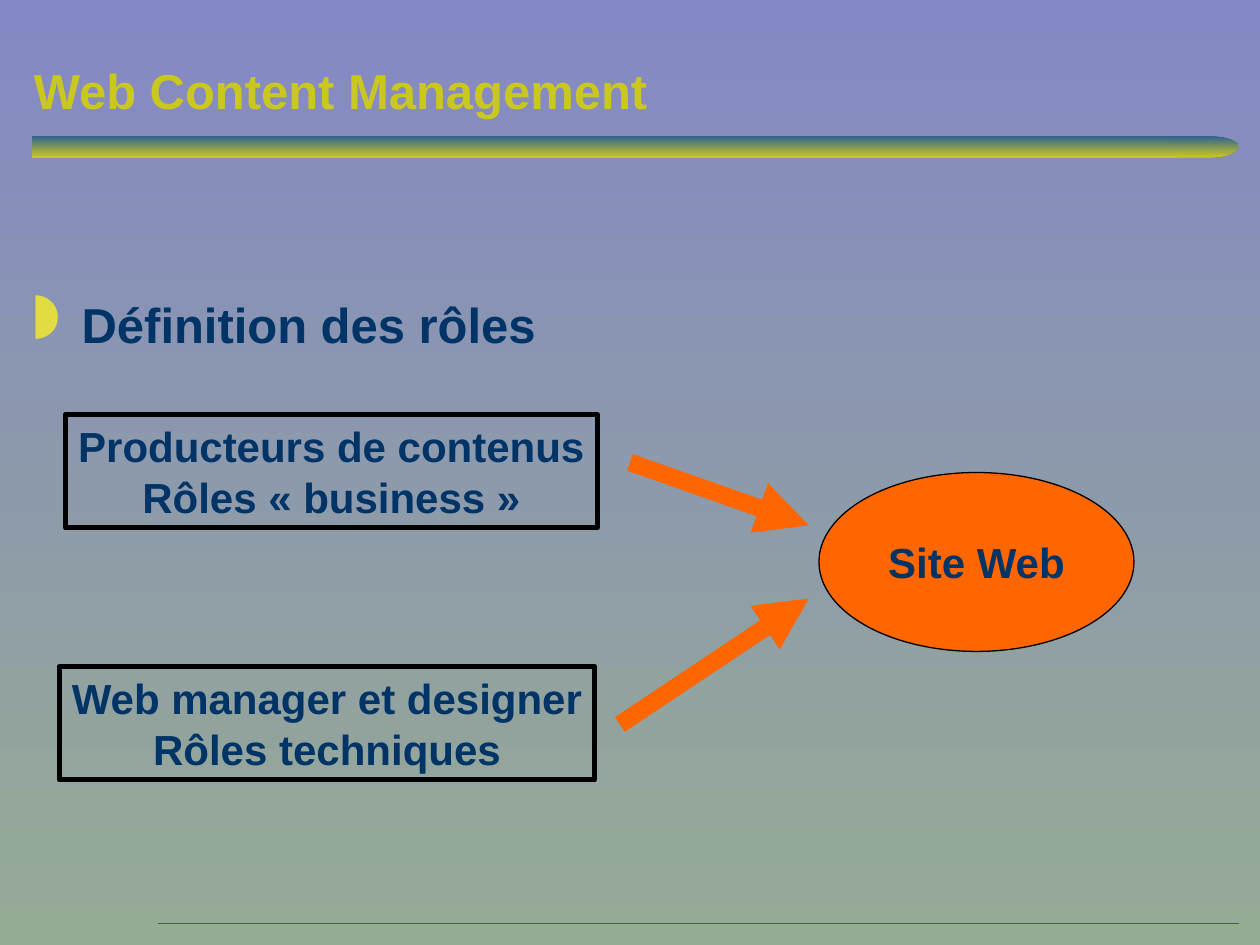
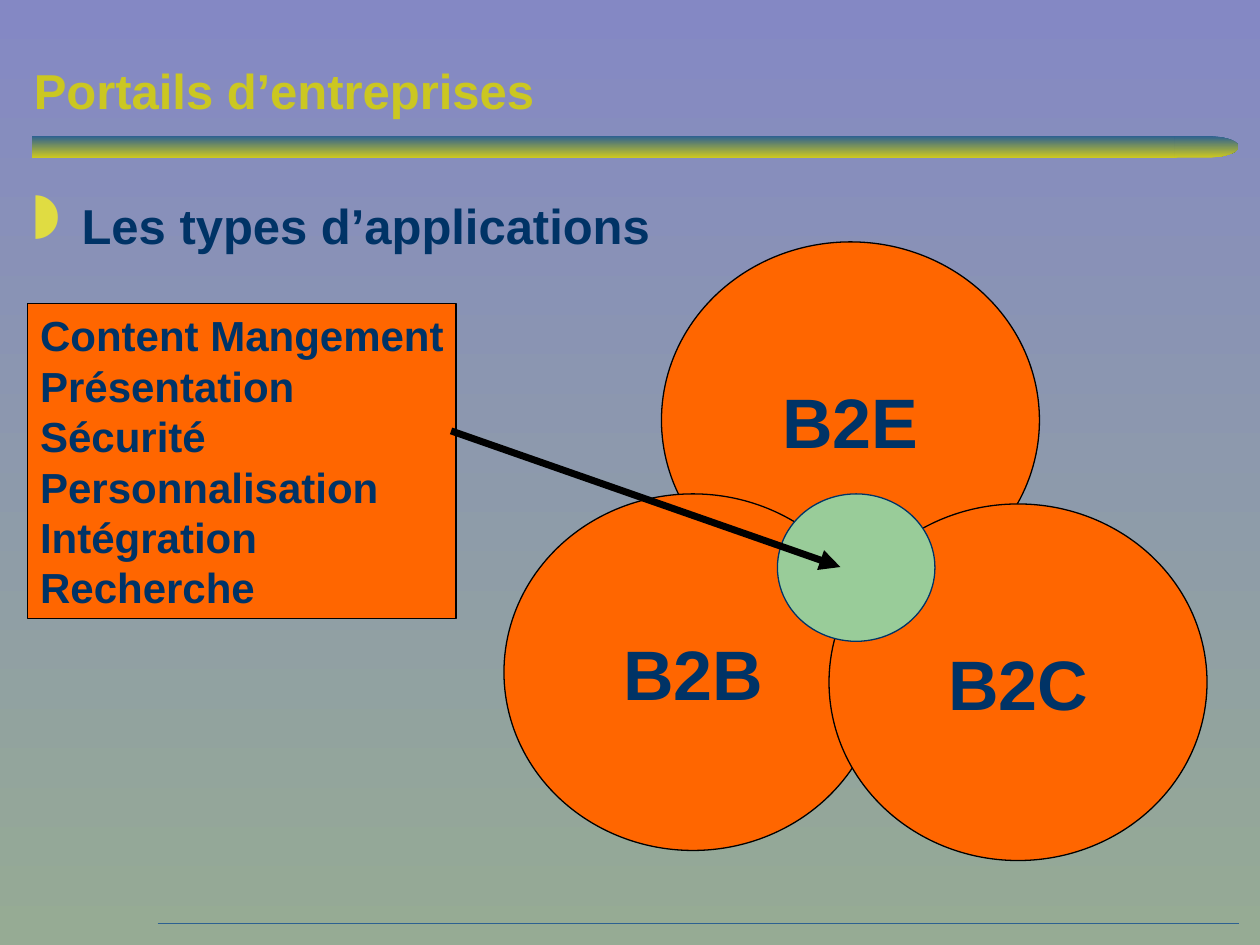
from lxml import etree
from pptx import Presentation
from pptx.dml.color import RGBColor
from pptx.enum.shapes import MSO_CONNECTOR, MSO_SHAPE
from pptx.enum.text import MSO_ANCHOR, PP_ALIGN
from pptx.oxml.ns import qn
from pptx.util import Inches, Pt

SKY = RGBColor(0x84, 0x88, 0xC4)
SAGE = RGBColor(0x96, 0xAB, 0x94)
BLUE = RGBColor(0x2D, 0x61, 0x91)
GOLD = RGBColor(0xCB, 0xC7, 0x21)
NAVY = RGBColor(0x00, 0x33, 0x66)
ORANGE = RGBColor(0xFF, 0x66, 0x00)
GREEN = RGBColor(0x99, 0xCC, 0x99)
BLACK = RGBColor(0x00, 0x00, 0x00)
DOT = "E0DC42"
FONT = "Arial"
THIN = 0.74


def shade(fill, top, base):
    """Fill with a gradient that runs from top to base."""
    fill.gradient()
    fill.gradient_angle = 270
    for stop, color in zip(fill.gradient_stops, (top, base)):
        stop.color.rgb = color


def write(frame, lines, size, color=NAVY, align=PP_ALIGN.LEFT):
    """Write one bold paragraph for each line."""
    frame.text = "\n".join(lines)
    for para in frame.paragraphs:
        para.alignment = align
        for run in para.runs:
            font = run.font
            font.name, font.size, font.bold = FONT, Pt(size), True
            font.color.rgb = color


def add_text(slide, box, text, size, color, anchor):
    """Add a wrapped line of text in the box and return its frame."""
    frame = slide.shapes.add_textbox(*map(Inches, box)).text_frame
    frame.word_wrap = True
    frame.vertical_anchor = anchor
    write(frame, [text], size, color)
    return frame


def add_form(slide, kind, box, fill=None, line=BLACK, width=THIN):
    """Add a flat shape with an optional fill and line."""
    shape = slide.shapes.add_shape(kind, *map(Inches, box))
    shape.shadow.inherit = False
    if fill is None:
        shape.fill.background()
    else:
        shape.fill.solid()
        shape.fill.fore_color.rgb = fill
    if line is None:
        shape.line.fill.background()
    else:
        shape.line.color.rgb = line
        shape.line.width = Pt(width)
    return shape


def add_line(slide, start, end, color, width, arrow=True):
    """Draw a straight line, with an arrowhead at its end if asked."""
    line = slide.shapes.add_connector(
        MSO_CONNECTOR.STRAIGHT, *map(Inches, (*start, *end)))
    line.line.color.rgb = color
    line.line.width = Pt(width)
    props = line._element.spPr
    if arrow:
        etree.SubElement(props.find(qn("a:ln")), qn("a:tailEnd"), type="triangle")
    etree.SubElement(props, qn("a:effectLst"))


def add_oval(slide, box, text, size):
    """Add an orange oval with a centred label."""
    frame = add_form(slide, MSO_SHAPE.OVAL, box, ORANGE).text_frame
    frame.word_wrap = False
    frame.vertical_anchor = MSO_ANCHOR.MIDDLE
    write(frame, [text], size, align=PP_ALIGN.CENTER)


def add_panel(slide, box, lines, align, fill=None, width=THIN):
    """Add a framed list of lines, set from the top."""
    frame = add_form(slide, MSO_SHAPE.RECTANGLE, box, fill, width=width).text_frame
    frame.word_wrap = False
    frame.vertical_anchor = MSO_ANCHOR.TOP
    write(frame, lines, 24, align=align)


def add_point(slide, box, text):
    """Add the bulleted heading of a slide."""
    para = add_text(slide, box, text, 28, NAVY, MSO_ANCHOR.TOP).paragraphs[0]
    para.space_before, para.space_after = Pt(17.5), Pt(7)
    props = para._p.get_or_add_pPr()
    props.set("marL", str(Inches(0.38)))
    props.set("indent", str(-Inches(0.38)))
    tint = etree.SubElement(props, qn("a:buClr"))
    etree.SubElement(tint, qn("a:srgbClr"), val=DOT)
    etree.SubElement(props, qn("a:buSzPct"), val="120000")
    etree.SubElement(props, qn("a:buChar"), char="◗")


def add_band(slide, box):
    """Draw the title band: a bar with a rounded right end."""
    left, top, width, height = box
    cap = 0.51
    bar = width - cap + 0.02
    for kind, part in (
            (MSO_SHAPE.RECTANGLE, (left, top, bar, height)),
            (MSO_SHAPE.FLOWCHART_DELAY, (left + width - cap, top, cap, height))):
        shade(add_form(slide, kind, part, line=None).fill, BLUE, GOLD)


def add_page(deck, title):
    """Add a slide with the shared background, title, band and foot line."""
    slide = deck.slides.add_slide(deck.slide_layouts[6])
    shade(slide.background.fill, SKY, SAGE)
    add_line(slide, (1.25, 7.33), (9.83, 7.33), BLUE, THIN, arrow=False)
    add_band(slide, (0.25, 1.08, 9.58, 0.17))
    frame = add_text(slide, (0.17, 0.17, 9.67, 0.83), title, 28, GOLD,
                     MSO_ANCHOR.BOTTOM)
    frame.paragraphs[0].line_spacing = 0.9
    return slide


def add_roles(slide, box):
    """Place the two roles and the arrows that lead to the site."""
    left, top, width, height = box
    roles = (
        (0.05, 0, 4.22, ["Producteurs de contenus", "Rôles «\u00a0business\u00a0»"]),
        (0, 2, 4.25, ["Web manager et designer", "Rôles techniques"]))
    for x, y, wide, lines in roles:
        add_panel(slide, (left + x, top + y, wide, 0.9), lines,
                  PP_ALIGN.CENTER, width=3)
    add_oval(slide, (left + width - 2.5, top + 0.46, 2.5, 1.42), "Site Web", 24)
    tip = left + width - 2.58
    for x, y, end in ((4.53, 0.38, 0.88), (4.45, 2.46, 1.46)):
        add_line(slide, (left + x, top + y), (tip, top + end), ORANGE, 10)


def add_portal(slide, box):
    """Place three overlapping circles, their shared core and its list."""
    left, top, width, height = box
    for x, y, name in ((5.03, 0, "B2E"), (3.78, 2, "B2B"), (6.36, 2.08, "B2C")):
        add_oval(slide, (left + x, top + y, 3, 2.83), name, 40)
    add_panel(slide, (left, top + 0.49, 3.4, 2.5),
              ["Content Mangement", "Présentation", "Sécurité",
               "Personnalisation", "Intégration", "Recherche"],
              PP_ALIGN.LEFT, ORANGE)
    add_form(slide, MSO_SHAPE.OVAL, (left + 5.95, top + 2, 1.25, 1.17), GREEN, NAVY)
    add_line(slide, (left + 3.36, top + 1.5), (left + 6.45, top + 2.58), BLACK, 4)


def main():
    """Build both slides and save the deck."""
    deck = Presentation()
    deck.slide_width, deck.slide_height = Inches(10), Inches(7.5)

    slide = add_page(deck, "Web Content Management")
    add_point(slide, (0.17, 2.29, 9.67, 4.88), "Définition des rôles")
    add_roles(slide, (0.47, 3.29, 8.53, 2.9))

    slide = add_page(deck, "Portails d’entreprises")
    add_point(slide, (0.17, 1.5, 9.67, 5.67), "Les types d’applications")
    add_portal(slide, (0.22, 1.92, 9.36, 4.91))

    deck.save("out.pptx")


main()
